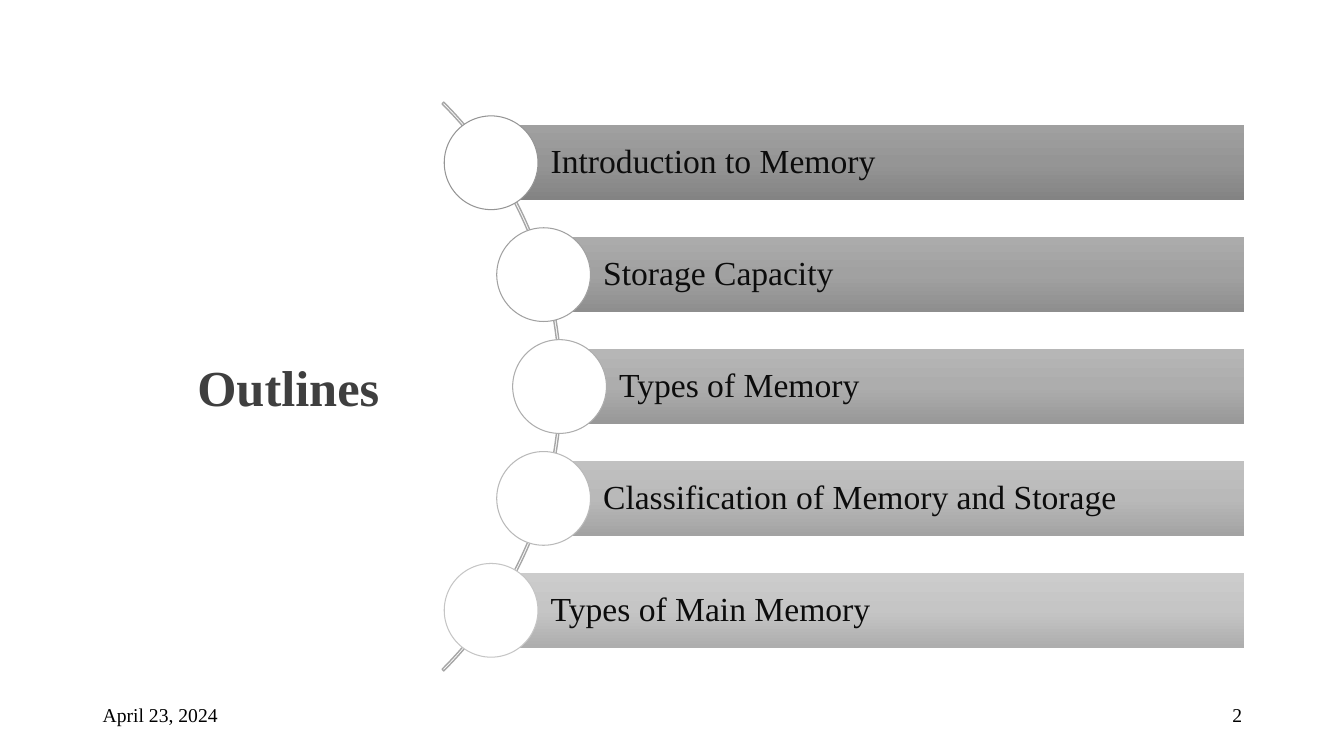
from copy import deepcopy
from dataclasses import dataclass
from math import sqrt

from pptx import Presentation
from pptx.dml.color import RGBColor
from pptx.enum import shapes, text
from pptx.oxml import ns
from pptx.util import Inches, Pt


@dataclass(frozen=True)
class Theme:
    font: str = "Times New Roman"
    ink: str = "000000"
    head: str = "3F3F3F"
    label: str = "0C0C0C"
    disc: str = "FFFFFF"
    arc: str = "A6A6A6"
    title_size: int = 36
    label_size: int = 24
    foot_size: int = 14


THEME = Theme()

# Label, then top, middle and bottom shade of its bar
TOPICS = [
    ("Introduction to Memory", ("A0A0A0", "959595", "838383")),
    ("Storage Capacity", ("ABABAB", "A1A1A1", "8E8E8E")),
    ("Types of Memory", ("B6B6B6", "ADADAD", "989898")),
    ("Classification of Memory and Storage", ("C1C1C1", "B9B9B9", "A3A3A3")),
    ("Types of Main Memory", ("CCCCCC", "C5C5C5", "AEAEAE")),
]


def rgb(code):
    return RGBColor.from_string(code)


def write(shape, words, size, color, align, bold=False):
    frame = shape.text_frame
    frame.word_wrap = True
    frame.text = words
    para = frame.paragraphs[0]
    para.alignment = align
    font = para.runs[0].font
    font.name, font.size, font.bold = THEME.font, Pt(size), bold
    font.color.rgb = rgb(color)
    return frame


def add_form(slide, kind, x, y, w, h):
    form = slide.shapes.add_shape(kind, Inches(x), Inches(y), Inches(w), Inches(h))
    form.shadow.inherit = False
    return form


def shade(bar, tones):
    """Fill a bar with evenly spaced tones from top to bottom."""
    bar.fill.gradient()
    bar.fill.gradient_angle = 270
    first = bar._element.spPr.find(".//" + ns.qn("a:gs"))
    first.addnext(deepcopy(first))
    for i, (stop, tone) in enumerate(zip(bar.fill.gradient_stops, tones)):
        stop.position = i / (len(tones) - 1)
        stop.color.rgb = rgb(tone)


def add_title(slide, x, y, w, h):
    title = slide.shapes.title
    title.left, title.top = Inches(x), Inches(y)
    title.width, title.height = Inches(w), Inches(h)
    frame = write(title, "Outlines", THEME.title_size, THEME.head,
                  text.PP_ALIGN.CENTER, bold=True)
    frame.vertical_anchor = text.MSO_ANCHOR.TOP
    frame.auto_size = text.MSO_AUTO_SIZE.SHAPE_TO_FIT_TEXT


def add_topics(slide, x, y, w, h):
    """Bars with discs whose centres lie on an arc around the box's left."""
    thick, disc, size = 0.74, 0.93, 7.98
    hub, mid = x - 2.81, y + h / 2
    pitch = (h - disc) / (len(TOPICS) - 1)

    # Arc behind the discs
    arc = add_form(slide, shapes.MSO_SHAPE.BLOCK_ARC,
                   hub - size / 2, mid - size / 2, size, size)
    arc.adjustments[0], arc.adjustments[1], arc.adjustments[2] = 189, 27, 0.003
    arc.fill.background()
    arc.line.color.rgb = rgb(THEME.arc)
    arc.line.width = Pt(1)

    for i, (label, tones) in enumerate(TOPICS):
        row = y + disc / 2 + i * pitch
        left = hub + sqrt(3.97 ** 2 - (row - mid) ** 2)

        # Bar and label
        bar = add_form(slide, shapes.MSO_SHAPE.RECTANGLE,
                       left, row - thick / 2, x + w - left, thick)
        shade(bar, tones)
        bar.line.fill.background()
        frame = write(bar, label, THEME.label_size, THEME.label, text.PP_ALIGN.LEFT)
        frame.vertical_anchor = text.MSO_ANCHOR.MIDDLE
        frame.margin_left = Inches(0.59)
        frame.margin_top = frame.margin_right = frame.margin_bottom = Inches(0.07)
        frame.paragraphs[0].line_spacing = 0.9

        # Disc
        dot = add_form(slide, shapes.MSO_SHAPE.OVAL,
                       left - disc / 2, row - disc / 2, disc, disc)
        dot.fill.solid()
        dot.fill.fore_color.rgb = rgb(THEME.disc)
        dot.line.color.rgb = rgb(tones[1])
        dot.line.width = Pt(0.75)


def add_footer(slide, x, y, w, h):
    part = 3
    for left, words, align in (
        (x, "April 23, 2024", text.PP_ALIGN.LEFT),
        (x + w - part, "2", text.PP_ALIGN.RIGHT),
    ):
        box = slide.shapes.add_textbox(Inches(left), Inches(y), Inches(part), Inches(h))
        frame = write(box, words, THEME.foot_size, THEME.ink, align)
        frame.vertical_anchor = text.MSO_ANCHOR.MIDDLE


def main():
    deck = Presentation()
    deck.slide_width, deck.slide_height = Inches(13.33), Inches(7.5)
    slide = deck.slides.add_slide(deck.slide_layouts[5])
    add_title(slide, 1.65, 3.48, 2.42, 0.71)
    add_topics(slide, 4.39, 1.15, 7.95, 5.37)
    add_footer(slide, 0.92, 6.89, 11.5, 0.4)
    deck.save("out.pptx")


if __name__ == "__main__":
    main()
